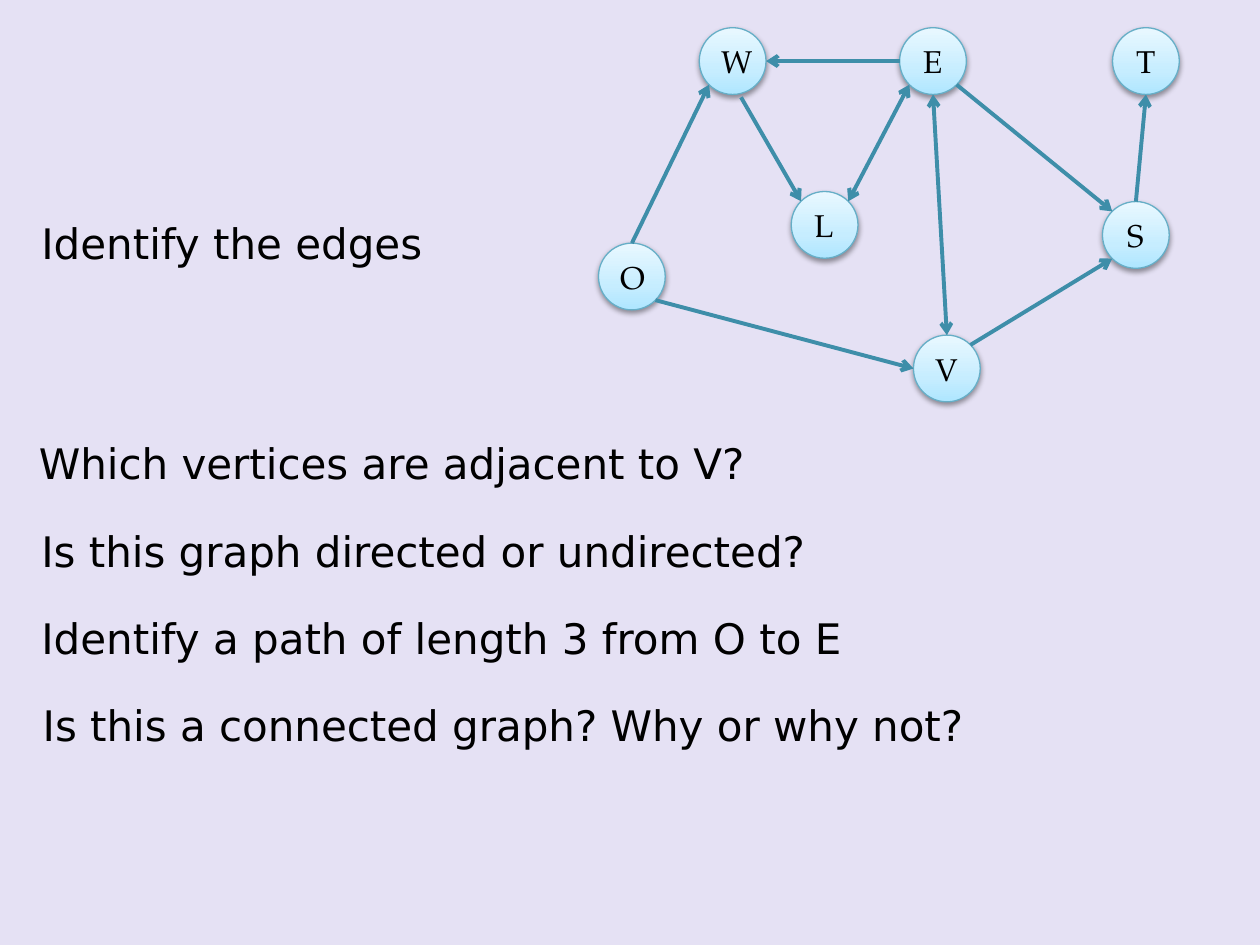
import math
from dataclasses import dataclass

import pptx
import pptx.dml.color
import pptx.enum.shapes
import pptx.enum.text
import pptx.oxml
import pptx.oxml.ns
import pptx.util
from pptx.util import Inches


@dataclass(frozen=True)
class Theme:
    background: str = "E5E1F4"
    text: str = "000000"
    node_line: str = "66AEC7"
    edge: str = "3E8EA9"
    node_stops: tuple = ((0, "AEE6FF"), (35, "C6EDFF"), (100, "E9F8FF"))
    node_font: str = "TeX Gyre Pagella"
    question_font: str = "DejaVu Sans"
    node_size: int = 18
    question_size: int = 24
    node_line_width: float = 0.75
    edge_width: float = 2.25


@dataclass(frozen=True)
class Vertex:
    label: str
    left: float
    top: float


@dataclass(frozen=True)
class Edge:
    """Angles are in degrees, clockwise from the right-hand side of a vertex."""
    start: str
    start_angle: float
    end: str
    end_angle: float
    both_ways: bool = False
    start_gap: float = 0


@dataclass(frozen=True)
class Question:
    text: str
    left: float
    top: float
    width: float


THEME = Theme()
DIAMETER = 0.53
RIGHT, LOWER_RIGHT, BOTTOM, LOWER_LEFT, LEFT, UPPER_LEFT, TOP, UPPER_RIGHT = range(0, 360, 45)

VERTICES = [
    Vertex("W", 5.55, 0.22), Vertex("E", 7.14, 0.22), Vertex("T", 8.83, 0.22),
    Vertex("L", 6.28, 1.52), Vertex("S", 8.75, 1.6),
    Vertex("O", 4.75, 1.93), Vertex("V", 7.25, 2.66),
]
EDGES = [
    Edge("E", BOTTOM, "V", TOP, both_ways=True),
    Edge("E", LEFT, "W", RIGHT),
    Edge("E", LOWER_RIGHT, "S", UPPER_LEFT),
    Edge("V", UPPER_RIGHT, "S", LOWER_LEFT),
    Edge("O", TOP, "W", LOWER_LEFT),
    Edge("W", 77, "L", UPPER_LEFT, start_gap=0.03),
    Edge("L", UPPER_RIGHT, "E", LOWER_LEFT, both_ways=True),
    Edge("S", TOP, "T", BOTTOM),
    Edge("O", LOWER_RIGHT, "V", LEFT),
]
QUESTIONS = [
    Question("Identify the edges", 0.23, 1.68, 3.98),
    Question("Which vertices are adjacent to V?", 0.21, 3.42, 6.53),
    Question("Is this graph directed or undirected?", 0.23, 4.12, 6.53),
    Question("Identify a path of length 3 from O to E", 0.23, 4.81, 7.08),
    Question("Is this a connected graph? Why or why not?", 0.24, 5.5, 8.01),
]


def color(value: str) -> pptx.dml.color.RGBColor:
    return pptx.dml.color.RGBColor.from_string(value)


def drawing_xml(markup: str):
    """Parse markup whose root element is in the drawing namespace."""
    tag, rest = markup.split(" ", 1)
    return pptx.oxml.parse_xml(f"{tag} {pptx.oxml.ns.nsdecls('a')} {rest}")


def style_text(text_frame, font_name: str, size: int) -> None:
    font = text_frame.paragraphs[0].runs[0].font
    font.name = font_name
    font.size = pptx.util.Pt(size)
    font.color.rgb = color(THEME.text)


def draw_vertex(slide, vertex: Vertex) -> None:
    shape = slide.shapes.add_shape(
        pptx.enum.shapes.MSO_SHAPE.OVAL, Inches(vertex.left), Inches(vertex.top),
        Inches(DIAMETER), Inches(DIAMETER))
    # Gradient from bottom to top
    stops = "".join(f'<a:gs pos="{position * 1000}"><a:srgbClr val="{value}"/></a:gs>'
                    for position, value in THEME.node_stops)
    properties = shape.element.spPr
    properties.append(drawing_xml(
        f'<a:gradFill rotWithShape="1"><a:gsLst>{stops}</a:gsLst>'
        '<a:lin ang="16200000" scaled="0"/></a:gradFill>'))
    shape.line.color.rgb = color(THEME.node_line)
    shape.line.width = pptx.util.Pt(THEME.node_line_width)
    # Soft shadow below
    shape.shadow.inherit = False
    properties.find(pptx.oxml.ns.qn("a:effectLst")).append(drawing_xml(
        f'<a:outerShdw blurRad="{pptx.util.Pt(3.1)}" dist="{pptx.util.Pt(1.6)}" dir="5400000" '
        'rotWithShape="0"><a:srgbClr val="000000"><a:alpha val="38000"/></a:srgbClr>'
        '</a:outerShdw>'))
    # Label
    text_frame = shape.text_frame
    text_frame.text = vertex.label
    text_frame.vertical_anchor = pptx.enum.text.MSO_ANCHOR.MIDDLE
    text_frame.paragraphs[0].alignment = pptx.enum.text.PP_ALIGN.CENTER
    style_text(text_frame, THEME.node_font, THEME.node_size)


def rim_point(vertex: Vertex, angle: float, gap: float = 0) -> tuple:
    radius = DIAMETER / 2
    direction = math.radians(angle)
    return (Inches(vertex.left + radius + (radius + gap) * math.cos(direction)),
            Inches(vertex.top + radius + (radius + gap) * math.sin(direction)))


def draw_edge(slide, edge: Edge, vertices: dict) -> None:
    connector = slide.shapes.add_connector(
        pptx.enum.shapes.MSO_CONNECTOR.STRAIGHT,
        *rim_point(vertices[edge.start], edge.start_angle, edge.start_gap),
        *rim_point(vertices[edge.end], edge.end_angle))
    connector.line.color.rgb = color(THEME.edge)
    connector.line.width = pptx.util.Pt(THEME.edge_width)
    line = connector.line._get_or_add_ln()
    for end in ("headEnd", "tailEnd") if edge.both_ways else ("tailEnd",):
        line.append(drawing_xml(f'<a:{end} type="arrow"/>'))
    connector.element.spPr.append(drawing_xml("<a:effectLst />"))


def draw_question(slide, question: Question) -> None:
    box = slide.shapes.add_textbox(Inches(question.left), Inches(question.top),
                                   Inches(question.width), Inches(0.5))
    text_frame = box.text_frame
    text_frame.text = question.text
    text_frame.word_wrap = True
    text_frame.auto_size = pptx.enum.text.MSO_AUTO_SIZE.SHAPE_TO_FIT_TEXT
    style_text(text_frame, THEME.question_font, THEME.question_size)


def main() -> None:
    presentation = pptx.Presentation()
    presentation.slide_width = Inches(10)
    presentation.slide_height = Inches(7.5)
    slide = presentation.slides.add_slide(presentation.slide_layouts[6])
    slide.background.fill.solid()
    slide.background.fill.fore_color.rgb = color(THEME.background)

    # Graph
    for vertex in VERTICES:
        draw_vertex(slide, vertex)
    vertices = {vertex.label: vertex for vertex in VERTICES}
    for edge in EDGES:
        draw_edge(slide, edge, vertices)

    # Questions
    for question in QUESTIONS:
        draw_question(slide, question)

    presentation.save("out.pptx")


if __name__ == "__main__":
    main()
